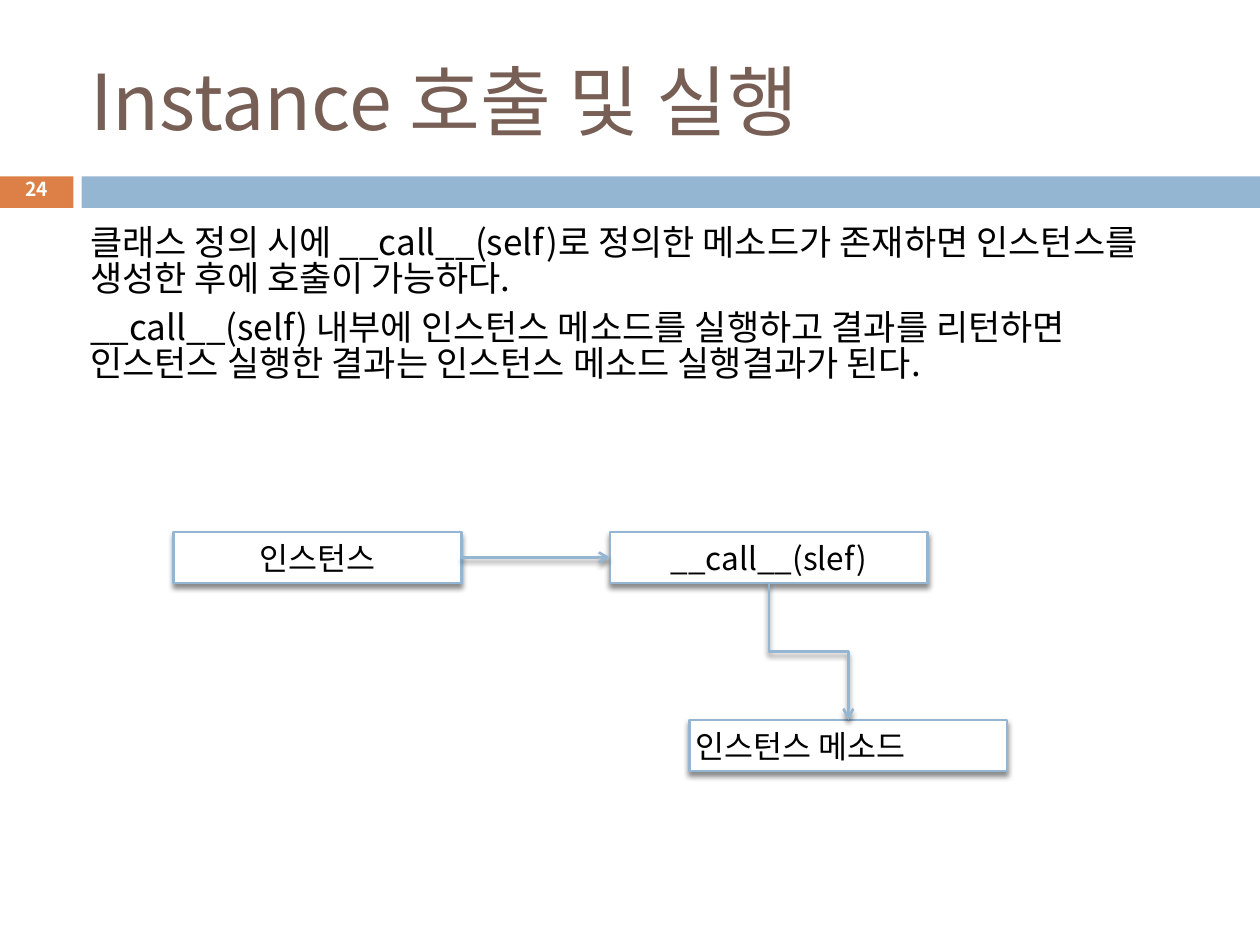
from lxml import etree
from pptx import Presentation
from pptx.dml.color import RGBColor
from pptx.enum.shapes import MSO_CONNECTOR, MSO_SHAPE
from pptx.enum.text import MSO_ANCHOR, PP_ALIGN
from pptx.oxml import parse_xml
from pptx.oxml.ns import nsdecls, qn
from pptx.util import Pt

TITLE = "Instance 호출 및 실행"
PAGE_NUMBER = "24"
BODY = [
    "클래스 정의 시에 __call__(self)로 정의한 메소드가 존재하면 인스턴스를 생성한 후에 호출이 가능하다.",
    "__call__(self) 내부에 인스턴스 메소드를 실행하고 결과를 리턴하면 인스턴스 실행한 결과는 인스턴스 메소드 실행결과가 된다.",
]
# name: (text, left, top, width, alignment)
NODES = {
    "instance": ("인스턴스", 99.2, 304, 164.4, PP_ALIGN.CENTER),
    "call": ("__call__(slef)", 348.6, 304, 181.6, PP_ALIGN.CENTER),
    "method": ("인스턴스 메소드", 394, 411.4, 181.6, PP_ALIGN.LEFT),
}
NODE_HEIGHT = 29.1
TOP, LEFT, BOTTOM, RIGHT = range(4)

THEME = {
    "font": "Noto Sans CJK KR",
    "title": {"size": 44, "color": "775F55"},
    "body": {"size": 20, "color": "000000"},
    "node": {"size": 18, "color": "000000"},
    "number": {"size": 11, "color": "FFFFFF", "bold": True},
    "orange": "DD8047",
    "blue": "94B6D2",
    "white": "FFFFFF",
    "line": 1.5,
}


def add_shadow(shape):
    properties = shape._element.spPr
    for old in properties.findall(qn("a:effectLst")):
        properties.remove(old)
    properties.append(parse_xml(
        f'<a:effectLst {nsdecls("a")}><a:outerShdw blurRad="{Pt(3)}" dist="{Pt(2.4)}" '
        'dir="5400000" rotWithShape="0"><a:srgbClr val="000000"><a:alpha val="45000"/>'
        '</a:srgbClr></a:outerShdw></a:effectLst>'))


def write(box, paragraphs, style, align=PP_ALIGN.LEFT, anchor=MSO_ANCHOR.MIDDLE,
          wrap=True, spacing=None, gap=0):
    frame = box.text_frame
    settings = {"word_wrap": wrap, "vertical_anchor": anchor}
    settings.update({f"margin_{side}": Pt(3.6) for side in ("left", "top", "right", "bottom")})
    for name, value in settings.items():
        setattr(frame, name, value)
    for index, text in enumerate(paragraphs):
        para = frame.add_paragraph() if index else frame.paragraphs[0]
        para.alignment = align
        para.line_spacing = spacing
        para.space_before = Pt(gap if index else 0)
        span = para.add_run()
        span.text = text
        span.font.name = THEME["font"]
        span.font.size = Pt(style["size"])
        span.font.bold = style.get("bold", False)
        span.font.color.rgb = RGBColor.from_string(style["color"])


def add_text(page, place, paragraphs, style, **options):
    box = page.shapes.add_textbox(*map(Pt, place))
    write(box, paragraphs, style, **options)


def add_rectangle(page, place, fill):
    box = page.shapes.add_shape(MSO_SHAPE.RECTANGLE, *map(Pt, place))
    box.shadow.inherit = False
    box.fill.solid()
    box.fill.fore_color.rgb = RGBColor.from_string(fill)
    box.line.fill.background()
    return box


def style_line(line):
    line.color.rgb = RGBColor.from_string(THEME["blue"])
    line.width = Pt(THEME["line"])


def add_node(page, text, left, top, width, align):
    box = add_rectangle(page, (left, top, width, NODE_HEIGHT), THEME["white"])
    style_line(box.line)
    add_shadow(box)
    write(box, [text], THEME["node"], align=align)
    return box


def add_arrow(page, kind, start, start_side, end, end_side):
    arrow = page.shapes.add_connector(kind, 0, 0, 0, 0)
    arrow.begin_connect(start, start_side)
    arrow.end_connect(end, end_side)
    style_line(arrow.line)
    etree.SubElement(arrow.line._get_or_add_ln(), qn("a:tailEnd"), type="arrow")
    add_shadow(arrow)
    return arrow


def run_vertically(arrow):
    """Turn an elbow about its centre so that it leaves downwards."""
    width, height = arrow.width, arrow.height
    arrow.left += (width - height) // 2
    arrow.top += (height - width) // 2
    arrow.width, arrow.height = height, width
    transform = arrow._element.spPr.find(qn("a:xfrm"))
    transform.set("rot", str(270 * 60000))
    transform.set("flipH", "1")


def main():
    deck = Presentation()
    deck.slide_width, deck.slide_height = Pt(720), Pt(540)
    page = deck.slides.add_slide(deck.slide_layouts[6])

    add_rectangle(page, (0, 100.8, 42, 18), THEME["orange"])
    add_rectangle(page, (46.6, 100.8, 673.4, 18), THEME["blue"])
    add_text(page, (48, 18, 642, 78), [TITLE], THEME["title"])
    add_text(page, (48, 126, 642, 104.4), BODY, THEME["body"],
             anchor=MSO_ANCHOR.TOP, spacing=0.86, gap=7)
    add_text(page, (9.8, 98.6, 22.3, 21.6), [PAGE_NUMBER], THEME["number"],
             align=PP_ALIGN.CENTER, wrap=False, spacing=0.8)

    nodes = {name: add_node(page, *node) for name, node in NODES.items()}
    add_arrow(page, MSO_CONNECTOR.STRAIGHT, nodes["instance"], RIGHT, nodes["call"], LEFT)
    run_vertically(add_arrow(page, MSO_CONNECTOR.ELBOW,
                             nodes["call"], BOTTOM, nodes["method"], TOP))
    deck.save("out.pptx")


if __name__ == "__main__":
    main()
